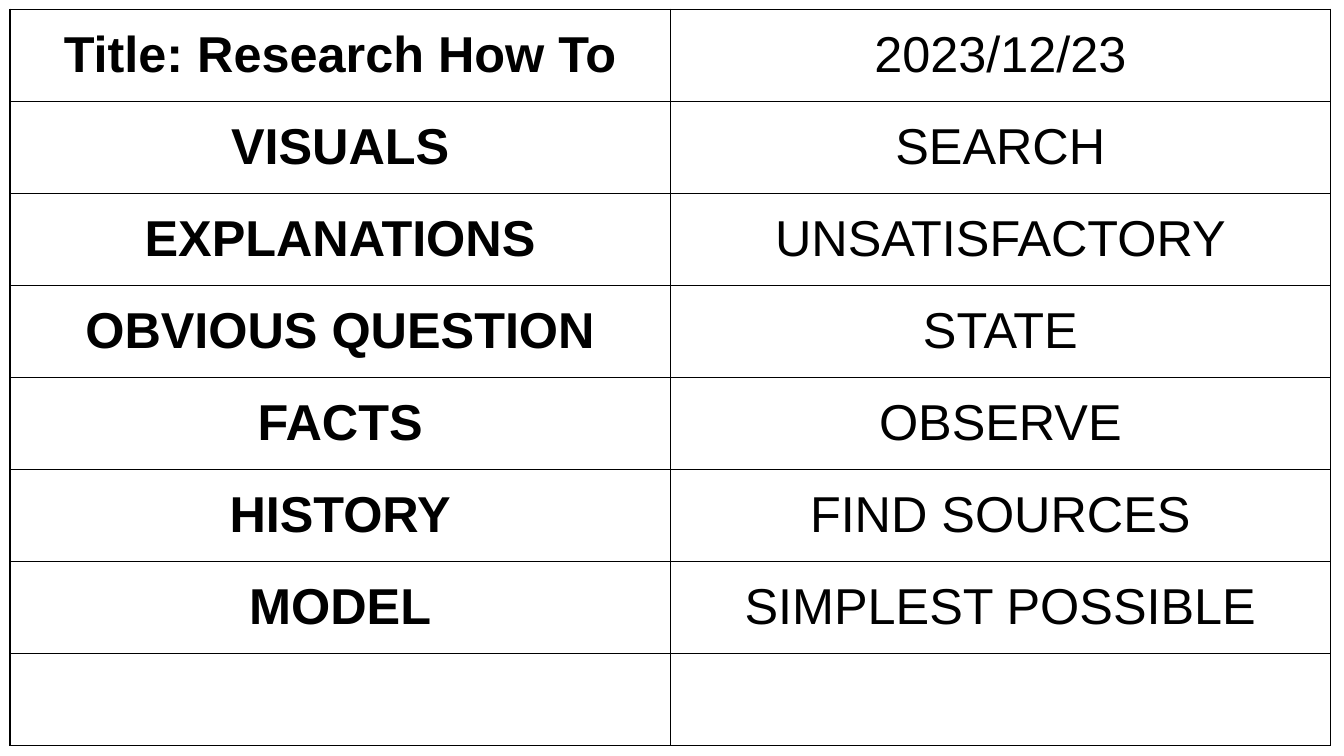
import dataclasses

import lxml.etree
import pptx
import pptx.dml.color
import pptx.enum.text
import pptx.oxml.ns
import pptx.presentation
import pptx.slide
import pptx.table
import pptx.util

Pt = pptx.util.Pt
BLACK = pptx.dml.color.RGBColor(0x00, 0x00, 0x00)
WHITE = pptx.dml.color.RGBColor(0xFF, 0xFF, 0xFF)

SLIDE_WIDTH, SLIDE_HEIGHT = Pt(960), Pt(540)
TABLE_LEFT, TABLE_TOP = Pt(7.2), Pt(6.6)
COLUMN_WIDTH, ROW_HEIGHT = Pt(471.6), Pt(65.75)
BORDER_WIDTH = Pt(1)
TEXT_FORMAT = {"name": "Arial", "size": Pt(36)}


@dataclasses.dataclass(frozen=True)
class ResearchStep:
    topic: str = ""
    action: str = ""


STEPS = [
    ResearchStep("Title: Research How To", "2023/12/23"),
    ResearchStep("VISUALS", "SEARCH"),
    ResearchStep("EXPLANATIONS", "UNSATISFACTORY"),
    ResearchStep("OBVIOUS QUESTION", "STATE"),
    ResearchStep("FACTS", "OBSERVE"),
    ResearchStep("HISTORY", "FIND SOURCES"),
    ResearchStep("MODEL", "SIMPLEST POSSIBLE"),
    ResearchStep(),
]


def add_borders(cell: pptx.table._Cell) -> None:
    """Draw a thin black line on all four sides of a cell."""
    qualified = pptx.oxml.ns.qn
    properties = cell._tc.get_or_add_tcPr()
    for position, side in enumerate(("a:lnL", "a:lnR", "a:lnT", "a:lnB")):
        line = lxml.etree.Element(qualified(side), w=str(BORDER_WIDTH))
        fill = lxml.etree.SubElement(line, qualified("a:solidFill"))
        lxml.etree.SubElement(fill, qualified("a:srgbClr"), val=str(BLACK))
        properties.insert(position, line)


def fill_cell(cell: pptx.table._Cell, text: str, bold: bool) -> None:
    """Format one cell and write its text, if any."""
    cell.fill.solid()
    cell.fill.fore_color.rgb = WHITE
    add_borders(cell)
    cell.vertical_anchor = pptx.enum.text.MSO_ANCHOR.MIDDLE
    if not text:
        return
    paragraph = cell.text_frame.paragraphs[0]
    paragraph.alignment = pptx.enum.text.PP_ALIGN.CENTER
    run = paragraph.add_run()
    run.text = text
    for attribute, value in {**TEXT_FORMAT, "bold": bold}.items():
        setattr(run.font, attribute, value)
    run.font.color.rgb = BLACK


def add_step_table(slide: pptx.slide.Slide, steps: list[ResearchStep]) -> None:
    """Add the table with topics on the left and actions on the right."""
    table = slide.shapes.add_table(
        len(steps), 2, TABLE_LEFT, TABLE_TOP,
        2 * COLUMN_WIDTH, len(steps) * ROW_HEIGHT,
    ).table
    table.first_row = table.horz_banding = False
    for column in table.columns:
        column.width = COLUMN_WIDTH
    for row, step in zip(table.rows, steps):
        row.height = ROW_HEIGHT
        fill_cell(row.cells[0], step.topic, bold=True)
        fill_cell(row.cells[1], step.action, bold=False)


# Presentation with one blank slide
presentation = pptx.Presentation()
presentation.slide_width = SLIDE_WIDTH
presentation.slide_height = SLIDE_HEIGHT
research_slide = presentation.slides.add_slide(
    presentation.slide_layouts.get_by_name("Blank"))

# Research steps
add_step_table(research_slide, STEPS)

presentation.save("out.pptx")
